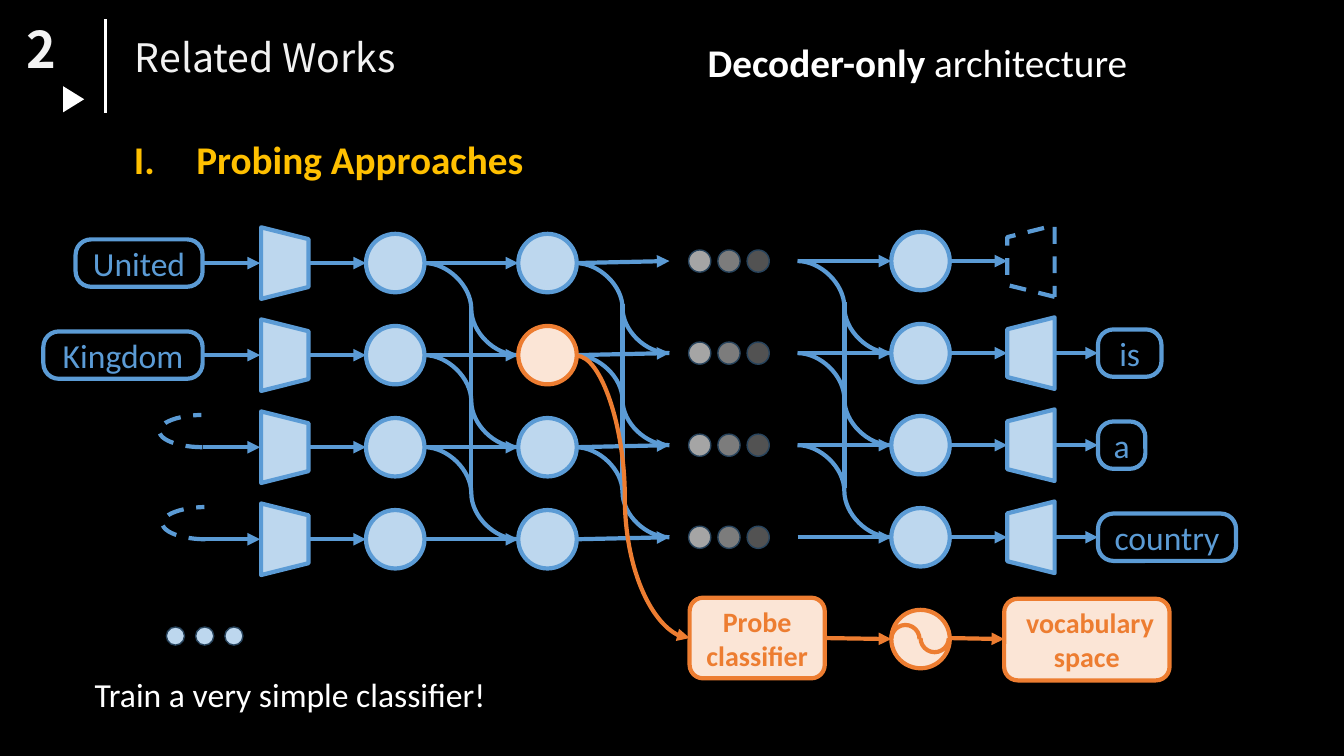
from lxml import etree
from pptx import Presentation
from pptx.dml.color import RGBColor
from pptx.enum.dml import MSO_LINE
from pptx.enum.shapes import MSO_CONNECTOR as CONN, MSO_SHAPE as SHAPE
from pptx.enum.text import MSO_ANCHOR, MSO_AUTO_SIZE, PP_ALIGN
from pptx.oxml.ns import qn
from pptx.util import Inches, Pt

BLACK = RGBColor(0x00, 0x00, 0x00)
WHITE = RGBColor(0xFF, 0xFF, 0xFF)
OFF_WHITE = RGBColor(0xF2, 0xF2, 0xF2)
GOLD = RGBColor(0xFF, 0xC0, 0x00)
BLUE = RGBColor(0x5B, 0x9B, 0xD5)
PALE_BLUE = RGBColor(0xBD, 0xD7, 0xEE)
NAVY = RGBColor(0x28, 0x44, 0x5D)
ORANGE = RGBColor(0xED, 0x7D, 0x31)
PALE_ORANGE = RGBColor(0xFB, 0xE5, 0xD6)
GREYS = [RGBColor(v, v, v) for v in (0xA5, 0x7C, 0x52)]
BODY, TITLE = "Calibri", "Noto Sans CJK KR"

ROWS = 4
PITCH = 2.74 / 3
NODE = 0.58
SPAN = 0.93
TOKEN_H = 0.47
DOT_GAP = 0.29


def add_run(p, text, color, **fmt):
    """Append a run with the given font values."""
    r = p.add_run()
    r.text = text
    for name, value in fmt.items():
        setattr(r.font, name, value)
    r.font.color.rgb = color


def add_text(s, x, y, w, h, runs):
    """Add a one-paragraph text box and return its paragraph."""
    tf = s.shapes.add_textbox(Inches(x), Inches(y), Inches(w), Inches(h)).text_frame
    tf.word_wrap = True
    tf.auto_size = MSO_AUTO_SIZE.SHAPE_TO_FIT_TEXT
    p = tf.paragraphs[0]
    for text, color, fmt in runs:
        add_run(p, text, color, **fmt)
    return p


def add_shape(s, kind, x, y, w, h, fill=None, line=None, width=3, rot=0, adj=(), dash=None):
    """Add a flat preset shape."""
    sp = s.shapes.add_shape(kind, Inches(x), Inches(y), Inches(w), Inches(h))
    sp.shadow.inherit = False
    sp.rotation = rot
    for i, value in enumerate(adj):
        sp.adjustments[i] = value
    if fill is None:
        sp.fill.background()
    else:
        sp.fill.solid()
        sp.fill.fore_color.rgb = fill
    if line is None:
        sp.line.fill.background()
    else:
        sp.line.color.rgb = line
        sp.line.width = Pt(width)
        sp.line.dash_style = dash
    return sp


def add_line(s, x1, y1, x2, y2, color=BLUE, width=3, arrow=True, kind=CONN.STRAIGHT, bend=None):
    """Add a connector, with an arrowhead at its end unless told otherwise."""
    c = s.shapes.add_connector(kind, Inches(x1), Inches(y1), Inches(x2), Inches(y2))
    c.line.color.rgb = color
    c.line.width = Pt(width)
    spPr = c._element.spPr
    if arrow:
        etree.SubElement(spPr.find(qn("a:ln")), qn("a:tailEnd"), type="triangle")
    etree.SubElement(spPr, qn("a:effectLst"))
    if bend is not None:
        guides = spPr.find(qn("a:prstGeom")).find(qn("a:avLst"))
        etree.SubElement(guides, qn("a:gd"), name="adj1", fmla=f"val {bend}")


def add_label(s, x, y, w, h, text, color, size, fill=None, bold=False, adj=()):
    """Add a rounded box with centred text."""
    sp = add_shape(s, SHAPE.ROUNDED_RECTANGLE, x, y, w, h, fill, color, adj=adj)
    tf = sp.text_frame
    tf.word_wrap = True
    tf.vertical_anchor = MSO_ANCHOR.MIDDLE
    p = tf.paragraphs[0]
    p.alignment = PP_ALIGN.CENTER
    add_run(p, text, color, name=BODY, size=Pt(size), bold=bold)


def add_token(s, x, mid, w, text):
    """Add a token box centred on a row."""
    add_label(s, x, mid - TOKEN_H / 2, w, TOKEN_H, text, BLUE, 24, adj=[0.326])


def add_node(s, x, mid, fill=PALE_BLUE, line=BLUE):
    """Add a round node centred on a row."""
    add_shape(s, SHAPE.OVAL, x, mid - NODE / 2, NODE, NODE, fill, line)


def add_dots(s, x, mid, size, fills):
    """Add a row of small dots."""
    for i, fill in enumerate(fills):
        add_shape(s, SHAPE.OVAL, x + i * DOT_GAP, mid - size / 2, size, size, fill, NAVY, 1)


def add_codec(s, x, mid, rot, fill=PALE_BLUE, dash=None):
    """Add a trapezoid turned on its side."""
    add_shape(s, SHAPE.TRAPEZOID, x, mid - TOKEN_H / 2, 0.71, TOKEN_H, fill, BLUE,
              rot=rot, dash=dash)


def attention(s, x, y_from, y_to):
    """Link each row to the same row and the next one of the following layer."""
    for i in range(ROWS):
        y = y_from + i * PITCH
        add_line(s, x, y, x + SPAN, y_to + i * PITCH)
        if i < ROWS - 1:
            add_line(s, x, y, x + SPAN, y_to + (i + 1) * PITCH, arrow=False, kind=CONN.CURVE)
    bar = x + SPAN / 2
    add_line(s, bar, y_from + 0.41, bar, y_from + 2.25, arrow=False)


def header(s, x, y):
    """Draw the section number, title, topic and numbered heading."""
    add_line(s, x + 1.05, y + 0.19, x + 1.05, y + 1.12, WHITE, 2.25, arrow=False)
    add_shape(s, SHAPE.ISOSCELES_TRIANGLE, x + 0.6, y + 0.88, 0.26, 0.21, WHITE, rot=90)
    add_text(s, x + 0.16, y + 0.13, 0.48, 0.71,
             [("2", OFF_WHITE, dict(name=TITLE, size=Pt(36), bold=True))])
    add_text(s, x + 1.24, y + 0.28, 5.4, 0.57,
             [("Related Works", OFF_WHITE, dict(name=TITLE, size=Pt(28)))])
    fmt = dict(name=BODY, size=Pt(28))
    add_text(s, x + 6.92, y + 0.33, 4.6, 0.57,
             [("Decoder-only", WHITE, dict(fmt, bold=True)), (" architecture", WHITE, fmt)])
    p = add_text(s, x + 1.23, y + 1.29, 6.2, 0.57,
                 [("Probing Approaches", GOLD, dict(fmt, bold=True))])
    pPr = p._p.get_or_add_pPr()
    pPr.set("marL", str(Inches(0.62)))
    pPr.set("indent", str(-Inches(0.62)))
    etree.SubElement(pPr, qn("a:buFont"), typeface="+mj-lt")
    etree.SubElement(pPr, qn("a:buAutoNum"), type="romanUcPeriod")


def input_side(s, x, y):
    """Draw the input tokens, the encoders and the first two layers."""
    for i in range(ROWS):
        mid = y + i * PITCH
        add_line(s, x + 1.58, mid, x + 2.15, mid)
        add_codec(s, x + 2.04, mid, 90)
        add_line(s, x + 2.63, mid, x + 3.2, mid)
        add_node(s, x + 3.2, mid)
        probed = (PALE_ORANGE, ORANGE) if i == 1 else ()
        add_node(s, x + 4.71, mid, *probed)
    for i, (text, w) in enumerate([("United", 1.26), ("Kingdom", 1.58)]):
        add_token(s, x + 1.58 - w, y + i * PITCH, w, text)
        add_shape(s, SHAPE.ARC, x + 1.15 + 0.03 * i, y + (i + 2) * PITCH - 0.32, 0.87, 0.32,
                  line=BLUE, rot=180, adj=[163.84, 50.23], dash=MSO_LINE.DASH)
    add_dots(s, x + 1.22, y + 3.7, 0.18, [PALE_BLUE] * 3)


def output_side(s, x, y):
    """Draw the skipped layers, the last layer, the decoders and the output tokens."""
    outputs = [None, ("is", 0.63), ("a", 0.47), ("country", 1.37)]
    for i, token in enumerate(outputs):
        mid = y + i * PITCH
        add_dots(s, x, mid, 0.22, GREYS)
        add_node(s, x + 2.01, mid)
        add_line(s, x + 2.59, mid, x + 3.16, mid)
        if token is None:
            add_codec(s, x + 3.04, mid, 270, None, MSO_LINE.DASH)
            continue
        text, w = token
        add_codec(s, x + 3.04, mid, 270)
        add_line(s, x + 3.63, mid, x + 4.06, mid)
        add_token(s, x + 4.06, mid, w, text)


def probe(s, x, mid):
    """Draw the probe classifier path to the vocabulary space."""
    add_line(s, x - 1.12, mid - 2.8, x, mid, ORANGE, kind=CONN.CURVE, bend=42600)
    add_label(s, x, mid - 0.4, 1.34, 0.8, "Probe classifier", ORANGE, 20, PALE_ORANGE, True)
    add_line(s, x + 1.34, mid, x + 2, mid + 0.01, ORANGE)
    add_node(s, x + 2, mid + 0.01, PALE_ORANGE, ORANGE)
    for i in range(2):
        add_shape(s, SHAPE.ARC, x + 2 + 0.29 * i, mid - 0.13 - 0.01 * i, 0.28, 0.28,
                  line=ORANGE, rot=180 * i, adj=[108.43, 0])
    add_line(s, x + 2.57, mid, x + 3.12, mid + 0.01, ORANGE)
    add_label(s, x + 3.12, mid - 0.39, 1.64, 0.81, " vocabulary space", ORANGE, 20,
              PALE_ORANGE, True)


def main():
    """Build the slide and save it."""
    prs = Presentation()
    prs.slide_width, prs.slide_height = Inches(13.33), Inches(7.5)
    s = prs.slides.add_slide(prs.slide_layouts[6])
    s.background.fill.solid()
    s.background.fill.fore_color.rgb = BLACK
    y_in, y_out = 2.61, 2.59
    header(s, 0, 0)
    for x, y_from, y_to in [(4.21, y_in, y_in), (5.71, y_in, y_out), (7.91, y_out, y_out)]:
        attention(s, x, y_from, y_to)
    input_side(s, 0.43, y_in)
    output_side(s, 6.83, y_out)
    probe(s, 6.84, 6.33)
    add_text(s, 0.84, 6.64, 4.71, 0.5,
             [("Train a very simple classifier!", WHITE, dict(name=BODY, size=Pt(24)))])
    prs.save("out.pptx")


if __name__ == "__main__":
    main()
